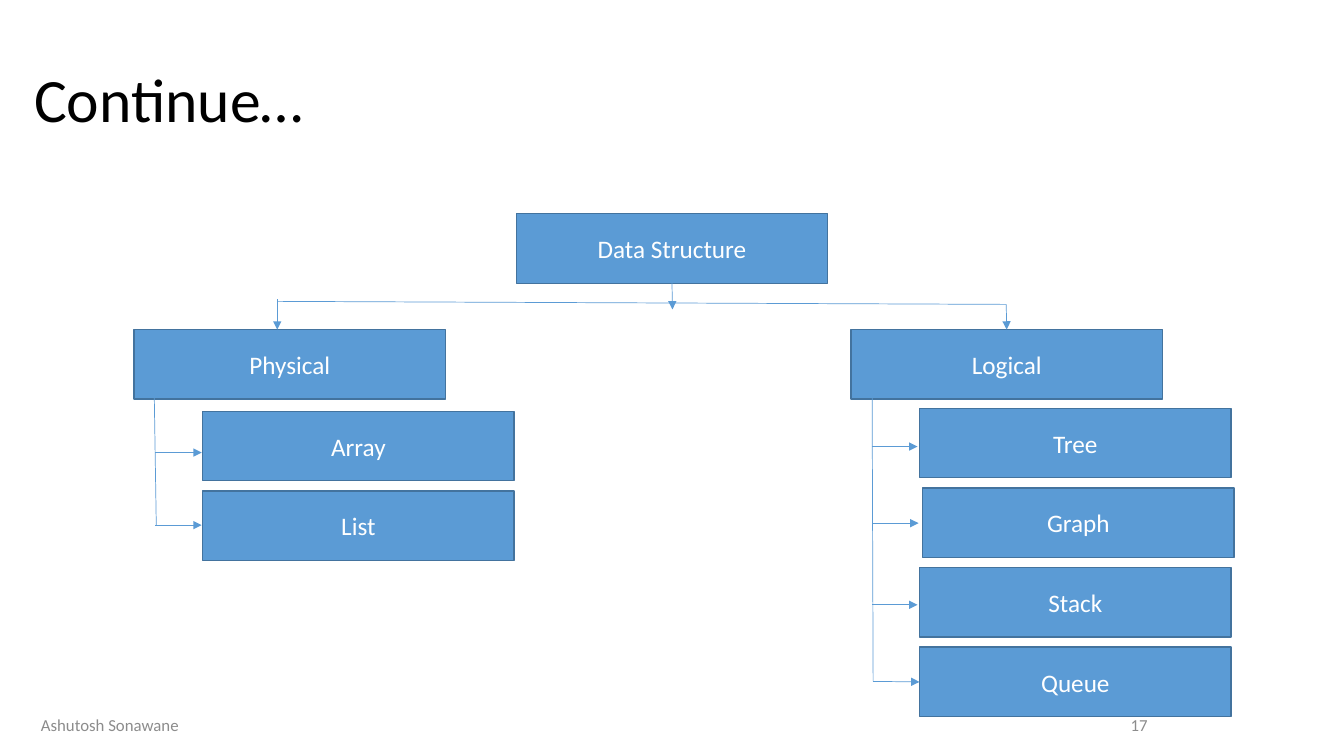
import pptx
import pptx.util
import pptx.dml.color
import pptx.enum.shapes
import pptx.enum.text
import pptx.oxml
import pptx.oxml.ns
from lxml import etree

Inches, Pt = pptx.util.Inches, pptx.util.Pt
RGBColor = pptx.dml.color.RGBColor
ALIGN = pptx.enum.text.PP_ALIGN

# Content
TITLE = "Continue…"
ROOT = ("Data Structure", 5.12, 2.12)
# heading, left, children left, first child top, children
BRANCHES = [
    ("Physical", 1.33, 2.01, 4.08, ["Array", "List"]),
    ("Logical", 8.44, 9.12, 4.05, ["Tree", "Graph", "Stack", "Queue"]),
]
NUDGE = {"Graph": 0.03}
FOOTER = [("Ashutosh Sonawane", 0.24, 1.7, ALIGN.CENTER),
          ("17", 8.48, 3, ALIGN.RIGHT)]
# start, end, arrowhead, box joined at start, box joined at end (box, side)
LINES = [
    # Root to branches
    ((2.75, 2.99), (9.98, 3.02), False, None, None),
    ((2.75, 2.97), (2.75, 3.27), True, None, None),
    ((9.98, 3.02), (9.98, 3.27), True, None, ("Logical", 0)),
    ((6.66, 2.81), (6.67, 3.07), True, ("Data Structure", 2), None),
    # Logical children
    ((8.65, 3.95), (8.66, 6.76), False, None, None),
    ((8.65, 4.43), (9.1, 4.43), True, None, None),
    ((8.66, 5.19), (9.11, 5.19), True, None, None),
    ((8.65, 6), (9.1, 6), True, None, None),
    ((8.66, 6.76), (9.12, 6.76), True, None, ("Queue", 1)),
    # Physical children
    ((1.53, 3.92), (1.55, 5.21), False, None, None),
    ((1.54, 4.49), (2, 4.49), True, None, None),
    ((1.54, 5.21), (2, 5.21), True, None, None),
]

# Style
BOX_W, BOX_H, PITCH, BRANCH_TOP = 3.09, 0.69, 0.79, 3.27
FONT = "Calibri"
BLACK = RGBColor(0x00, 0x00, 0x00)
WHITE = RGBColor(0xFF, 0xFF, 0xFF)
GREY = RGBColor(0x8C, 0x8C, 0x8C)
BLUE = RGBColor(0x5B, 0x9B, 0xD5)
EDGE = RGBColor(0x43, 0x73, 0x9E)

prs = pptx.Presentation()
prs.slide_width, prs.slide_height = Inches(13.33), Inches(7.5)
s = prs.slides.add_slide(prs.slide_layouts[6])


def write(sp, text, size=18, color=WHITE, align=ALIGN.CENTER, spacing=None):
    tf = sp.text_frame
    tf.word_wrap = True
    tf.vertical_anchor = pptx.enum.text.MSO_ANCHOR.MIDDLE
    p = tf.paragraphs[0]
    p.alignment = align
    if spacing:
        p.line_spacing = spacing
    r = p.add_run()
    r.text = text
    r.font.size, r.font.name, r.font.color.rgb = Pt(size), FONT, color


def add_text(text, x, y, w, h, **style):
    write(s.shapes.add_textbox(Inches(x), Inches(y), Inches(w), Inches(h)),
          text, **style)


def add_box(text, x, y):
    sp = s.shapes.add_shape(pptx.enum.shapes.MSO_SHAPE.RECTANGLE,
                            Inches(x), Inches(y), Inches(BOX_W), Inches(BOX_H))
    sp.shadow.inherit = False
    sp.fill.solid()
    sp.fill.fore_color.rgb = BLUE
    sp.line.color.rgb, sp.line.width = EDGE, Pt(1)
    write(sp, text)
    return sp


def add_line(start, end, arrow, begin_at, end_at):
    c = s.shapes.add_connector(pptx.enum.shapes.MSO_CONNECTOR.STRAIGHT,
                               *map(Inches, start + end))
    if begin_at:
        c.begin_connect(boxes[begin_at[0]], begin_at[1])
    if end_at:
        c.end_connect(boxes[end_at[0]], end_at[1])
    c.line.color.rgb, c.line.width = BLUE, Pt(0.5)
    if arrow:
        etree.SubElement(c.line._get_or_add_ln(),
                         pptx.oxml.ns.qn("a:tailEnd"), type="triangle")
    etree.SubElement(c._element.spPr, pptx.oxml.ns.qn("a:effectLst"))


# Title
add_text(TITLE, 0.24, 0.19, 12.89, 1.66, size=44, color=BLACK,
         align=ALIGN.LEFT, spacing=0.9)

# Boxes
boxes = {ROOT[0]: add_box(*ROOT)}
for heading, left, child_left, child_top, children in BRANCHES:
    boxes[heading] = add_box(heading, left, BRANCH_TOP)
    for i, name in enumerate(children):
        boxes[name] = add_box(name, child_left + NUDGE.get(name, 0),
                              child_top + i * PITCH)

# Lines and arrows
for line in LINES:
    add_line(*line)

# Footer
for text, x, w, align in FOOTER:
    add_text(text, x, 6.99, w, 0.4, size=12, color=GREY, align=align)

prs.save("out.pptx")
